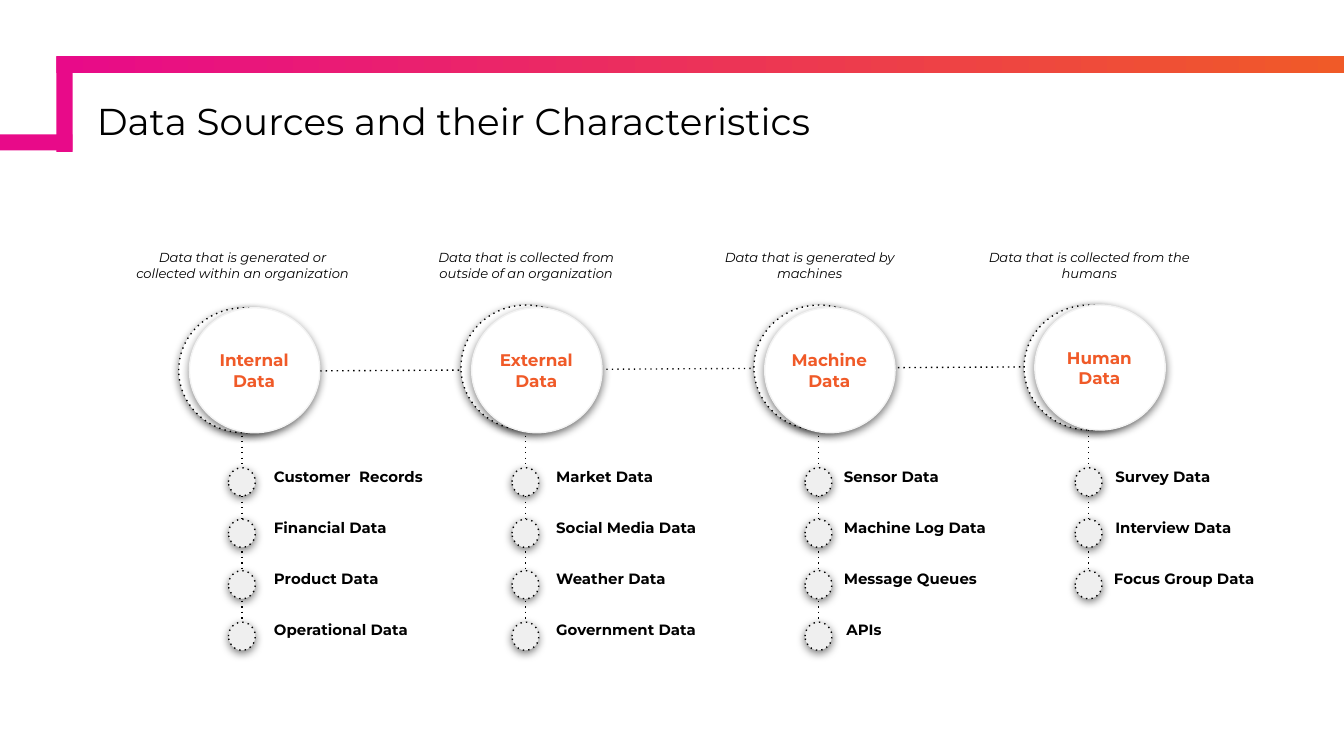
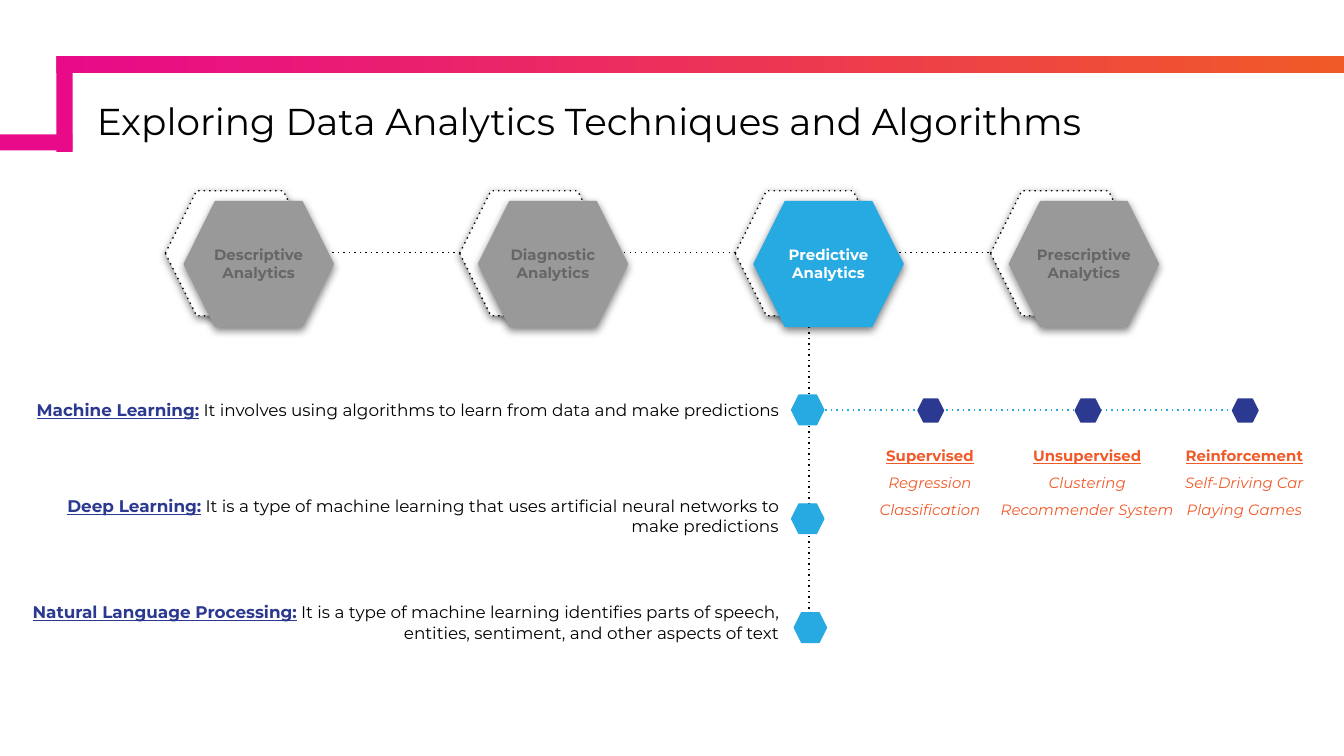
from lxml import etree
from pptx import Presentation
from pptx import util as u
from pptx.dml.color import RGBColor
from pptx.enum import shapes, text
from pptx.oxml.ns import qn

HUES = {
    "black": "000000", "white": "FFFFFF", "pink": "E80A89", "orange": "F05A28",
    "pale": "EFEFEF", "edge": "F3F3F3", "gray": "999999", "dim": "666666",
    "blue": "27AAE1", "navy": "2B3990",
}
FONT = "Montserrat"
LEFT, MID, RIGHT = text.PP_ALIGN.LEFT, text.PP_ALIGN.CENTER, text.PP_ALIGN.RIGHT
TOP, CORE, BASE = text.MSO_ANCHOR.TOP, text.MSO_ANCHOR.MIDDLE, text.MSO_ANCHOR.BOTTOM
OVAL, HEX = shapes.MSO_SHAPE.OVAL, shapes.MSO_SHAPE.HEXAGON
BAR = shapes.MSO_SHAPE.RECTANGLE

SOURCES = [
    ("Internal Data", "Data that is generated or collected within an organization",
     ["Customer  Records", "Financial Data", "Product Data", "Operational Data"],
     dict(note=0.89, ring=1.33, dot=1.7, item=1.94, back=2.29, front=2.29)),
    ("External Data", "Data that is collected from outside of an organization",
     ["Market Data", "Social Media Data", "Weather Data", "Government Data"],
     dict(note=3, ring=3.43, dot=3.81, item=4.04, back=2.27, front=2.29)),
    ("Machine Data", "Data that is generated by machines",
     ["Sensor Data", "Machine Log Data", "Message Queues", "APIs"],
     dict(note=5.11, ring=5.61, dot=5.99, item=6.18, back=2.27, front=2.29)),
    ("Human Data", "Data that is collected from the humans",
     ["Survey Data", "Interview Data", "Focus Group Data"],
     dict(note=7.19, ring=7.62, dot=8, item=8.2, back=2.27, front=2.27)),
]
NUDGE = {"APIs": 0.02, "Focus Group Data": -0.01}
STAGES = [
    ("Descriptive Analytics", 1.23, "gray", "dim"),
    ("Diagnostic Analytics", 3.42, "gray", "dim"),
    ("Predictive Analytics", 5.47, "blue", "white"),
    ("Prescriptive Analytics", 7.37, "gray", "dim"),
]
METHODS = [
    ("Machine Learning:",
     " It involves using algorithms to learn from data and make predictions", 5.89),
    ("Deep Learning:",
     " It is a type of machine learning that uses artificial neural networks"
     " to make predictions", 5.89),
    ("Natural Language Processing:",
     " It is a type of machine learning identifies parts of speech,"
     " entities, sentiment, and other aspects of text", 5.91),
]
KINDS = [
    ("Supervised", ["Regression", "Classification"], 1.11),
    ("Unsupervised", ["Clustering", "Recommender System"], 1.53),
    ("Reinforcement", ["Self-Driving Car", "Playing Games"], 1.46),
]


def tint(name):
    return RGBColor.from_string(HUES[name])


def write(para, words, size=8, hue="black", bold=False, slant=False, under=False):
    run = para.add_run()
    run.text = words
    font = run.font
    font.name, font.size = FONT, u.Pt(size)
    font.bold, font.italic, font.underline = bold, slant, under
    font.color.rgb = tint(hue)


class Deck:
    """Holds the shared style and the current slide."""

    def __init__(self):
        self.show = Presentation()
        self.show.slide_width = u.Inches(10)
        self.show.slide_height = u.Inches(10 * 9 / 16)

    def start(self, title):
        self.slide = self.show.slides.add_slide(self.show.slide_layouts[5])
        top = self.shape(BAR, 0.42, 0.42, 9.58, 0.12, "pink")
        top.fill.gradient()
        top.fill.gradient_angle = 0
        for stop, hue in zip(top.fill.gradient_stops, ("pink", "orange")):
            stop.color.rgb = tint(hue)
        self.shape(BAR, 0.42, 0.42, 0.12, 0.71, "pink")
        self.shape(BAR, 0, 1, 0.54, 0.12, "pink")
        head = self.slide.shapes.title
        head.left, head.top = u.Inches(0.67), u.Inches(0.78)
        head.width, head.height = u.Inches(9.03), u.Inches(0.34)
        para = self.frame(head, 0.05, BASE).paragraphs[0]
        para.alignment, para.line_spacing = LEFT, 0.9
        write(para, title, size=20)

    def frame(self, box, inset, anchor):
        area = box.text_frame
        area.auto_size = text.MSO_AUTO_SIZE.NONE
        area.word_wrap = True
        area.vertical_anchor = anchor
        area.margin_left = area.margin_right = u.Inches(inset)
        area.margin_top = area.margin_bottom = u.Inches(inset)
        return area

    def stroke(self, item, hue, dots):
        item.line.color.rgb = tint(hue)
        item.line.width = u.Pt(0.75)
        if dots:
            line = item._element.spPr.find(qn("a:ln"))
            etree.SubElement(line, qn("a:prstDash"), val="dot")

    def shape(self, kind, x, y, w, h, fill, edge=None, dots=False, shade=False):
        item = self.slide.shapes.add_shape(kind, *map(u.Inches, (x, y, w, h)))
        item.shadow.inherit = False
        item.fill.solid()
        item.fill.fore_color.rgb = tint(fill)
        if edge:
            self.stroke(item, edge, dots)
        else:
            item.line.fill.background()
        if shade:
            glow = etree.SubElement(
                item._element.spPr.find(qn("a:effectLst")), qn("a:outerShdw"),
                blurRad=str(u.Pt(4.5)), dist=str(u.Pt(1.5)), dir="5400000",
                algn="bl", rotWithShape="0")
            ink = etree.SubElement(glow, qn("a:srgbClr"), val=HUES["black"])
            etree.SubElement(ink, qn("a:alpha"), val="50000")
        return item

    def ring(self, kind, x, y, w, h, fill="white"):
        self.shape(kind, x, y, w, h, fill, "black", dots=True, shade=True)

    def wire(self, x1, y1, x2, y2, hue="black"):
        item = self.slide.shapes.add_connector(
            shapes.MSO_CONNECTOR.STRAIGHT, *map(u.Inches, (x1, y1, x2, y2)))
        self.stroke(item, hue, True)
        etree.SubElement(item._element.spPr, qn("a:effectLst"))

    def label(self, x, y, w, h, lines, align=MID, anchor=CORE, space=None, top=0.1):
        box = self.slide.shapes.add_textbox(*map(u.Inches, (x, y, w, h)))
        area = self.frame(box, 0.1, anchor)
        area.margin_top = u.Inches(top)
        for row, runs in enumerate(lines):
            para = area.add_paragraph() if row else area.paragraphs[0]
            para.alignment = align
            if space:
                para.line_spacing = space
            for words, form in runs:
                write(para, words, **form)


def draw_sources(deck):
    deck.start("Data Sources and their Characteristics")
    step, first = 0.383, 3.48
    deck.wire(2.3, 2.76, 7.62, 2.73)
    for name, note, items, at in SOURCES:
        stem = at["dot"] + 0.1
        deck.wire(stem, 3.2, stem, first + step * (len(items) - 1))
        deck.ring(OVAL, at["ring"], at["back"], 0.97, 0.93)
        deck.shape(OVAL, at["ring"] + 0.08, at["front"], 0.97, 0.93,
                   "white", "edge", shade=True)
        deck.label(at["ring"] + 0.16, at["front"] + 0.08, 0.8, 0.77,
                   [[(name, dict(size=9, hue="orange", bold=True))]])
        deck.label(at["note"], 1.76, 1.83, 0.44,
                   [[(note, dict(size=7, slant=True))]], anchor=TOP)
        for row, item in enumerate(items):
            deck.ring(OVAL, at["dot"], first + step * row, 0.2, 0.21, "pale")
            deck.label(at["item"] + NUDGE.get(item, 0), 3.42 + 0.38 * row,
                       min(1.83, 9.63 - at["item"]), 0.34,
                       [[(item, dict(bold=True))]], LEFT, TOP, top=0.06)


def draw_methods(deck):
    deck.start("Exploring Data Analytics Techniques and Algorithms")
    deck.wire(6.14, 3.05, 9.17, 3.05, "blue")
    deck.wire(6.02, 2.35, 6.02, 4.55)
    deck.wire(2.35, 1.88, 7.37, 1.88)
    for name, x, fill, ink in STAGES:
        deck.ring(HEX, x, 1.42, 1.11, 0.93)
        deck.shape(HEX, x + 0.14, 1.5, 1.11, 0.93, fill, fill, shade=True)
        deck.label(x + 0.24, 1.69, 0.91, 0.54,
                   [[(name, dict(hue=ink, bold=True))]])
    for row, (name, words, x) in enumerate(METHODS):
        deck.shape(HEX, x, 2.94 + 0.81 * row, 0.24, 0.22, "blue", "blue")
        lead = dict(size=9, hue="navy", bold=True, under=True)
        deck.label(0.09, 2.88 + 0.79 * row, 5.8, 0.34,
                   [[(name, lead), (words, dict(size=9))]], RIGHT)
    for col, (name, uses, width) in enumerate(KINDS):
        x = 6.83 + 1.17 * col
        deck.shape(HEX, x, 2.97, 0.19, 0.17, "navy", "navy")
        lines = [[(name, dict(hue="orange", bold=True, under=True))]]
        lines += [[(use, dict(hue="orange", slant=True))] for use in uses]
        deck.label(x + 0.09 - width / 2, 3.22, width, 0.67, lines, space=1.5)


def main():
    deck = Deck()
    draw_sources(deck)
    draw_methods(deck)
    deck.show.save("out.pptx")


if __name__ == "__main__":
    main()
